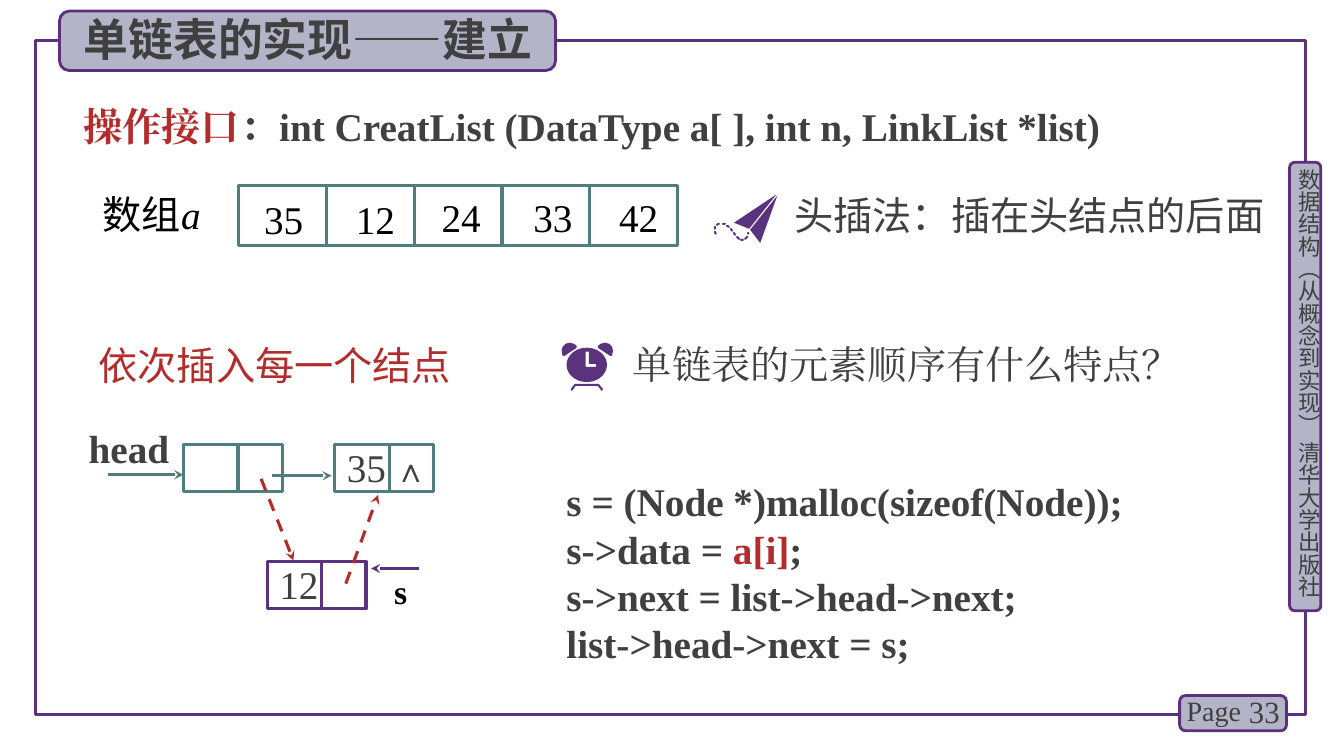
"""Builds the slide on creating a singly linked list by head insertion."""
from dataclasses import dataclass
from math import cos, hypot, pi, sin
from typing import NamedTuple, Optional

from lxml.etree import SubElement
from pptx import Presentation
from pptx.dml.color import RGBColor
from pptx.enum.dml import MSO_LINE
from pptx.enum.shapes import MSO_CONNECTOR, MSO_SHAPE
from pptx.enum.text import MSO_ANCHOR, MSO_AUTO_SIZE, PP_ALIGN
from pptx.oxml.ns import qn
from pptx.util import Pt

PX = 9144
PURPLE = RGBColor(0x5A, 0x32, 0x7D)
BADGE_LINE = RGBColor(0x5C, 0x30, 0x7D)
BADGE_FILL = RGBColor(0xB4, 0xB4, 0xC8)
TEAL = RGBColor(0x50, 0x7D, 0x7D)
RED = RGBColor(0xB4, 0x2D, 0x2D)
GREY = RGBColor(0x40, 0x40, 0x40)
BLACK = RGBColor(0, 0, 0)
SERIF, SANS, BODY = "Times New Roman", "Noto Sans CJK SC", "Calibri"
PADDED, TIGHT = (10, 5, 10, 5), (0, 0, 0, 0)


class Box(NamedTuple):
    x: int
    y: int
    w: int
    h: int


class Run(NamedTuple):
    text: str
    color: Optional[RGBColor] = None
    font: Optional[str] = None
    italic: Optional[bool] = None


@dataclass
class Label:
    box: Box
    paragraphs: tuple
    size: int = 28
    color: RGBColor = GREY
    bold: bool = False
    font: str = SERIF
    asian: str = SERIF
    margins: tuple = PADDED
    align: PP_ALIGN = PP_ALIGN.LEFT
    anchor: MSO_ANCHOR = MSO_ANCHOR.TOP
    vertical: bool = False


@dataclass
class Frame:
    box: Box
    line: RGBColor
    fill: Optional[RGBColor] = None
    kind: MSO_SHAPE = MSO_SHAPE.RECTANGLE
    weight: float = 2.25


@dataclass
class Link:
    start: tuple
    end: tuple
    color: RGBColor
    arrow: bool = True
    dashed: bool = False


def write(tf, label: Label) -> None:
    tf.word_wrap = True
    tf.vertical_anchor = label.anchor
    tf.margin_left, tf.margin_top, tf.margin_right, tf.margin_bottom = (m * PX for m in label.margins)
    for i, runs in enumerate(label.paragraphs):
        p = tf.add_paragraph() if i else tf.paragraphs[0]
        p.alignment = label.align
        p.font.size, p.font.bold, p.font.name = Pt(label.size), label.bold, label.font
        p.font.color.rgb = label.color
        SubElement(p._p.pPr.find(qn("a:defRPr")), qn("a:ea"), typeface=label.asian)
        for run in runs:
            r = p.add_run()
            r.text = run.text
            if run.color is not None:
                r.font.color.rgb = run.color
            if run.font:
                r.font.name, r.font.italic = run.font, run.italic


def add_label(shapes, label: Label) -> None:
    sp = shapes.add_textbox(*(v * PX for v in label.box))
    write(sp.text_frame, label)
    if label.anchor == MSO_ANCHOR.TOP:
        sp.text_frame.auto_size = MSO_AUTO_SIZE.SHAPE_TO_FIT_TEXT
    if label.vertical:
        sp.element.txBody.find(qn("a:bodyPr")).set("vert", "eaVert")


def add_frame(shapes, frame: Frame):
    sp = shapes.add_shape(frame.kind, *(v * PX for v in frame.box))
    sp.shadow.inherit = False
    sp.line.color.rgb, sp.line.width = frame.line, Pt(frame.weight)
    if frame.fill is None:
        sp.fill.background()
    else:
        sp.fill.solid()
        sp.fill.fore_color.rgb = frame.fill
    return sp


def add_badge(shapes, box: Box):
    return add_frame(shapes, Frame(box, BADGE_LINE, BADGE_FILL, MSO_SHAPE.ROUNDED_RECTANGLE, 2))


def add_link(shapes, link: Link) -> None:
    cn = shapes.add_connector(MSO_CONNECTOR.STRAIGHT, *(v * PX for v in link.start + link.end))
    cn.line.color.rgb, cn.line.width = link.color, Pt(2.25)
    if link.dashed:
        cn.line.dash_style = MSO_LINE.DASH
    if link.arrow:
        SubElement(cn.line._get_or_add_ln(), qn("a:tailEnd"), type="stealth")
    SubElement(cn.element.spPr, qn("a:effectLst"))


def add_node(shapes, x: int, y: int, color: RGBColor, value: str = "") -> None:
    sp = add_frame(shapes, Frame(Box(x, y, 98, 47), color))
    if value:
        write(sp.text_frame, Label(Box(x, y, 98, 47), ((Run(value),),), margins=(12, 4, 0, 0)))
        sp.text_frame.paragraphs[0].line_spacing = 0.9
    add_link(shapes, Link((x + 54, y), (x + 54, y + 47), color, arrow=False))


def add_outline(shapes, *contours: list) -> None:
    scaled = [[(round(x * PX), round(y * PX)) for x, y in contour] for contour in contours]
    fb = shapes.build_freeform(*scaled[0][0])
    fb.add_line_segments(scaled[0][1:])
    for contour in scaled[1:]:
        fb.move_to(*contour[0])
        fb.add_line_segments(contour[1:])
    sp = fb.convert_to_shape()
    sp.shadow.inherit = False
    sp.fill.solid()
    sp.fill.fore_color.rgb = PURPLE
    sp.line.fill.background()


def add_plane(shapes) -> None:
    add_outline(shapes, [(771, 194), (754, 241), (744, 228)])
    add_outline(shapes, [(770, 193), (743, 227), (728, 221)])
    trail = [(742, 231, 742, 232), (741, 235, 739, 237), (735, 238, 737, 238), (731, 235, 733, 237),
             (728, 231, 729, 233), (725, 227, 726, 229), (721, 224, 723, 225), (717, 222, 719, 222),
             (713, 222, 711, 223), (709, 225, 709, 227), (709, 230, 710, 232)]
    for x1, y1, x2, y2 in trail:
        length = hypot(x2 - x1, y2 - y1)
        u, v = (x2 - x1) / length, (y2 - y1) / length
        add_outline(shapes, [(x1 - u, y1 - v), (x1 - v, y1 + u), (x2 - v, y2 + u),
                             (x2 + u, y2 + v), (x2 + v, y2 - u), (x1 + v, y1 - u)])


def add_clock(shapes) -> None:
    bell = [(565, 340), (561, 341), (558, 344), (557, 348), (558, 353),
            (560, 353), (572, 345), (572, 343), (569, 341)]
    stand = [(598, 386), (594, 381), (570, 381), (566, 386), (567, 388), (568, 387),
             (571, 383), (593, 383), (596, 387), (597, 388)]
    face = [(582 + 20 * cos(k * pi / 24), 362 + 17 * sin(k * pi / 24)) for k in range(48)]
    hands = [(581, 349), (581, 364), (591, 364), (591, 361), (584, 361), (584, 349)]
    add_outline(shapes, stand)
    add_outline(shapes, bell)
    add_outline(shapes, [(1165 - x, y) for x, y in bell])
    add_outline(shapes, face, hands)


def main() -> None:
    prs = Presentation()
    prs.slide_width, prs.slide_height = 1333 * PX, 750 * PX
    s = prs.slides.add_slide(prs.slide_layouts[5])
    shapes = s.shapes
    add_frame(shapes, Frame(Box(35, 40, 1260, 669), PURPLE))
    add_badge(shapes, Box(1279, 161, 31, 445))
    add_badge(shapes, Box(1170, 690, 106, 35))
    heading = Label(Box(73, 7, 477, 64), ((Run("单链表的实现——建立"),),), 32, bold=True, asian=SANS)
    title = shapes.title
    title.left, title.top, title.width, title.height = (v * PX for v in heading.box)
    write(title.text_frame, heading)
    title.text_frame.auto_size = MSO_AUTO_SIZE.NONE
    add_badge(shapes, Box(59, 11, 492, 59)).element.addnext(title.element)

    for i in range(5):
        add_frame(shapes, Frame(Box(237 + 87 * i, 184, 87, 60), TEAL))
    for value, x, y in (("35", 262, 194), ("12", 353, 194), ("24", 438, 192), ("33", 529, 192), ("42", 614, 192)):
        add_label(shapes, Label(Box(x, y, 42, 47), ((Run(value),),), color=BLACK, margins=TIGHT))
    add_plane(shapes)
    add_clock(shapes)

    add_node(shapes, 265, 557, PURPLE, "12")
    add_node(shapes, 182, 441, TEAL)
    add_node(shapes, 332, 441, TEAL, "35")
    for link in (Link((416, 564), (368, 564), PURPLE), Link((107, 471), (182, 471), TEAL),
                 Link((270, 472), (329, 472), TEAL), Link((259, 475), (291, 556), RED, dashed=True),
                 Link((343, 579), (375, 491), RED, dashed=True)):
        add_link(shapes, link)

    for label in (
        Label(Box(1285, 167, 27, 449), ((Run("数据结构（从概念到实现） 清华大学出版社"),),), 16,
              asian=SANS, margins=TIGHT, vertical=True),
        Label(Box(1220, 686, 59, 40), ((Run("33"),),), 22, align=PP_ALIGN.RIGHT, anchor=MSO_ANCHOR.MIDDLE),
        Label(Box(1167, 683, 78, 44), ((Run("Page"),),), 20),
        Label(Box(73, 97, 1160, 57), ((Run("操作接口", RED), Run("：int CreatList (DataType a[ ], int n, LinkList *list)")),),
              bold=True, align=PP_ALIGN.JUSTIFY),
        Label(Box(92, 184, 158, 57), ((Run("数组"), Run("a", font=SERIF, italic=True)),),
              color=BLACK, font=BODY, asian=BODY),
        Label(Box(788, 185, 494, 57), ((Run("头插法：插在头结点的后面"),),), asian=SANS, margins=(0, 5, 0, 5)),
        Label(Box(88, 334, 392, 57), ((Run("依次插入每一个结点"),),), color=RED, asian=SANS),
        Label(Box(618, 333, 576, 57), ((Run("单链表的元素顺序有什么特点？"),),)),
        Label(Box(391, 566, 27, 40), ((Run("s"),),), 24, BLACK, bold=True, margins=TIGHT),
        Label(Box(88, 421, 96, 51), ((Run("head"),),), bold=True, margins=(0, 0, 0, 4)),
        Label(Box(381, 440, 49, 50), ((Run("∧"),),), 24, bold=True),
        Label(Box(552, 469, 682, 199), ((Run("s = (Node *)malloc(sizeof(Node));"),),
                                        (Run("s->data = "), Run("a[i]", RED), Run(";")),
                                        (Run("s->next = list->head->next;"),),
                                        (Run("list->head->next = s;"),)), bold=True),
    ):
        add_label(shapes, label)
    prs.save("out.pptx")


if __name__ == "__main__":
    main()
